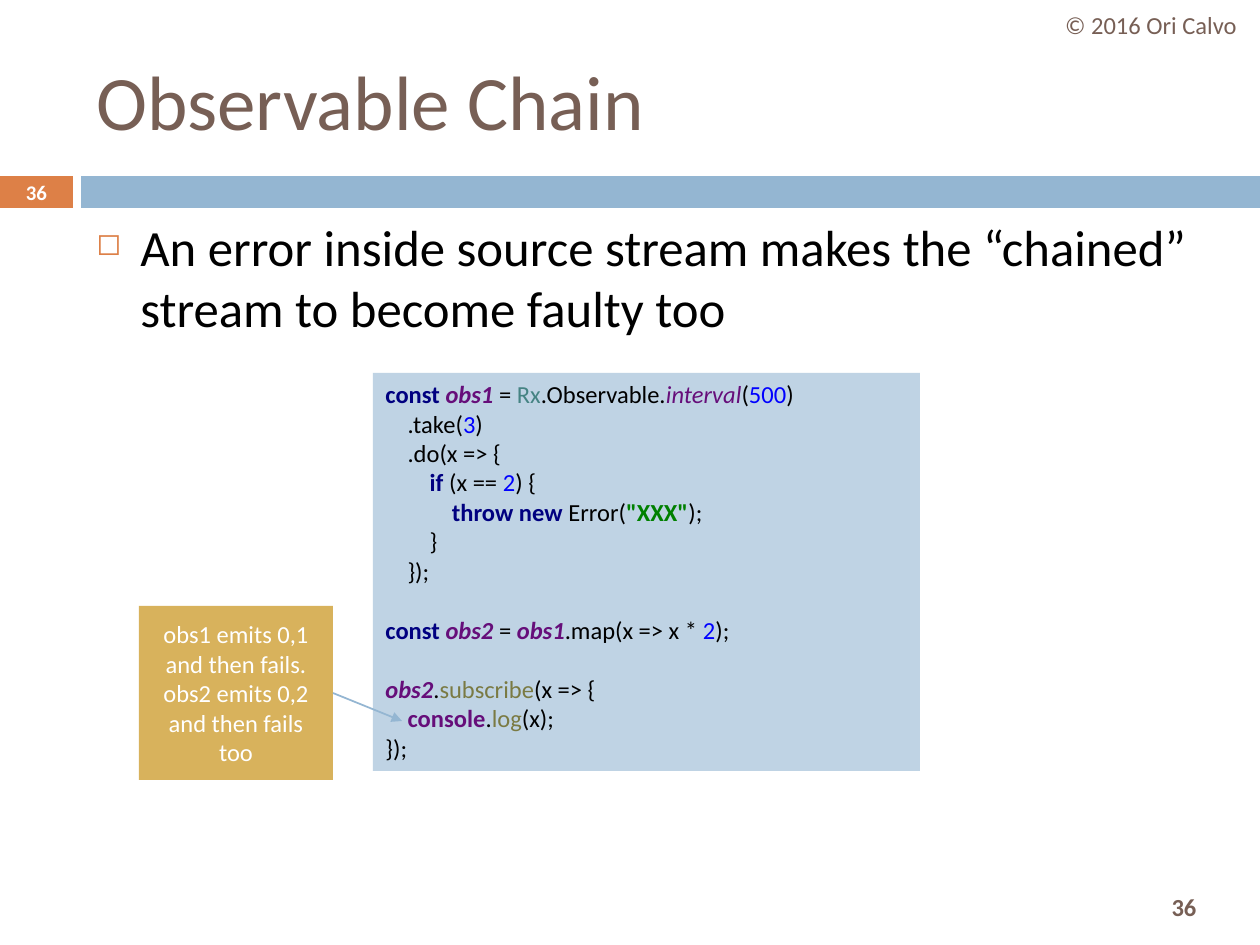
from lxml import etree
from pptx import Presentation, util as u
from pptx.dml.color import RGBColor
from pptx.enum import shapes, text
from pptx.oxml import ns

PX = u.Inches(1) / 126
FONT = "Calibri"
COLORS = {
    "brown": "775F55", "orange": "DD8047", "blue": "94B6D2",
    "code_box": "BFD3E4", "gold": "D8B25C", "white": "FFFFFF",
    "black": "000000", "navy": "000080", "purple": "660E7A",
    "teal": "458383", "number": "0000FF", "green": "008000",
    "olive": "7A7A43",
}
STYLES = {
    "plain": ("black", False, False),
    "keyword": ("navy", True, False),
    "variable": ("purple", True, True),
    "member": ("purple", False, True),
    "object": ("purple", True, False),
    "type": ("teal", False, False),
    "number": ("number", False, False),
    "string": ("green", True, False),
    "method": ("olive", False, False),
}
CODE_BLOCKS = [
    [
        [("keyword", "const "), ("variable", "obs1 "), ("plain", "= "),
         ("type", "Rx"), ("plain", ".Observable."), ("member", "interval"),
         ("plain", "("), ("number", "500"), ("plain", ")")],
        [("plain", "    .take("), ("number", "3"), ("plain", ")")],
        [("plain", "    .do(x => {")],
        [("keyword", "        if "), ("plain", "(x == "), ("number", "2"),
         ("plain", ") {")],
        [("keyword", "            throw new "), ("plain", "Error("),
         ("string", '"XXX"'), ("plain", ");")],
        [("plain", "        }")],
        [("plain", "    });")],
    ],
    [
        [("keyword", "const "), ("variable", "obs2 "), ("plain", "= "),
         ("variable", "obs1"), ("plain", ".map(x => x * "),
         ("number", "2"), ("plain", ");")],
    ],
    [
        [("variable", "obs2"), ("plain", "."), ("method", "subscribe"),
         ("plain", "(x => {")],
        [("object", "    console"), ("plain", "."), ("method", "log"),
         ("plain", "(x);")],
        [("plain", "});")],
    ],
]


def px(*lengths):
    return [u.Emu(round(length * PX)) for length in lengths]


def rgb(color):
    return RGBColor.from_string(COLORS[color])


def style(run, size, color, bold=False, italic=False):
    run.font.name = FONT
    run.font.size = u.Pt(size)
    run.font.color.rgb = rgb(color)
    run.font.bold = bold
    run.font.italic = italic


def add_rect(slide, box, fill):
    rect = slide.shapes.add_shape(shapes.MSO_SHAPE.RECTANGLE, *px(*box))
    rect.shadow.inherit = False
    rect.fill.solid()
    rect.fill.fore_color.rgb = rgb(fill)
    rect.line.fill.background()
    return rect


def write(shape, words, size, color, bold=False,
          align=text.PP_ALIGN.CENTER, anchor=text.MSO_ANCHOR.MIDDLE):
    frame = shape.text_frame
    frame.word_wrap = True
    frame.vertical_anchor = anchor
    frame.text = words
    paragraph = frame.paragraphs[0]
    paragraph.alignment = align
    style(paragraph.runs[0], size, color, bold)
    return paragraph


def add_label(slide, box, *words, **layout):
    return write(slide.shapes.add_textbox(*px(*box)), *words, **layout)


def add_header(slide, box, title, credit, number):
    left, top, width, height = box
    band_top, band_height, tab_width, gap = top + height - 32, 32, 73, 8
    add_rect(slide, (left, band_top, tab_width, band_height), "orange")
    add_rect(slide, (left + tab_width + gap, band_top,
                     width - tab_width - gap, band_height), "blue")
    add_label(slide, (left + 84, top + 32, 1124, 136), title, 44, "brown",
              align=text.PP_ALIGN.LEFT)
    add_label(slide, (left + width - 218, top, 218, 50), credit, 14, "brown")
    add_label(slide, (left, band_top, tab_width, band_height),
              number, 11.9, "white", True)


def add_statement(slide, box, words):
    statement = add_label(slide, box, words, 29, "black",
                          align=text.PP_ALIGN.LEFT,
                          anchor=text.MSO_ANCHOR.TOP)
    props = statement._p.get_or_add_pPr()
    indent = px(44)[0]
    props.set("marL", str(indent))
    props.set("indent", str(-indent))
    bullet_color = etree.SubElement(props, ns.qn("a:buClr"))
    etree.SubElement(bullet_color, ns.qn("a:srgbClr"), val=COLORS["orange"])
    etree.SubElement(props, ns.qn("a:buSzPct"), val="60000")
    etree.SubElement(props, ns.qn("a:buChar"), char="◻")


def add_code(slide, box):
    frame = add_rect(slide, box, "code_box").text_frame
    frame.word_wrap = True
    frame.vertical_anchor = text.MSO_ANCHOR.TOP
    line = frame.paragraphs[0]
    for block_index, block in enumerate(CODE_BLOCKS):
        for line_index, tokens in enumerate(block):
            if block_index or line_index:
                line = frame.add_paragraph()
            line.alignment = text.PP_ALIGN.LEFT
            if block_index and not line_index:
                line.space_before = u.Pt(17)
            for kind, words in tokens:
                run = line.add_run()
                run.text = words
                style(run, 14, *STYLES[kind])


def add_note(slide, box, words, target):
    note = add_rect(slide, box, "gold")
    write(note, words, 14, "white")
    left, top, width, height = box
    arrow = slide.shapes.add_connector(
        shapes.MSO_CONNECTOR.STRAIGHT,
        *px(left + width, top + height / 2, *target))
    arrow.begin_connect(note, 3)
    arrow.line.color.rgb = rgb("blue")
    arrow.line.width = u.Pt(1)
    etree.SubElement(arrow.line._get_or_add_ln(), ns.qn("a:tailEnd"),
                     type="triangle")
    etree.SubElement(arrow._element.spPr, ns.qn("a:effectLst"))


def main():
    deck = Presentation()
    deck.slide_width, deck.slide_height = px(1260, 945)
    slide = deck.slides.add_slide(deck.slide_layouts[6])
    add_header(slide, (0, 0, 1260, 208), "Observable Chain",
               "© 2016 Ori Calvo", "36")
    add_statement(slide, (84, 210, 1124, 620),
                  "An error inside source stream makes the “chained” "
                  "stream to become faulty too")
    add_code(slide, (373, 373, 547, 398))
    add_note(slide, (139, 606, 194, 174),
             "obs1 emits 0,1 and then fails. obs2 emits 0,2 and then "
             "fails too", (402, 721))
    add_label(slide, (1126, 880, 116, 53), "36", 14, "brown", True)
    deck.save("out.pptx")


if __name__ == "__main__":
    main()
